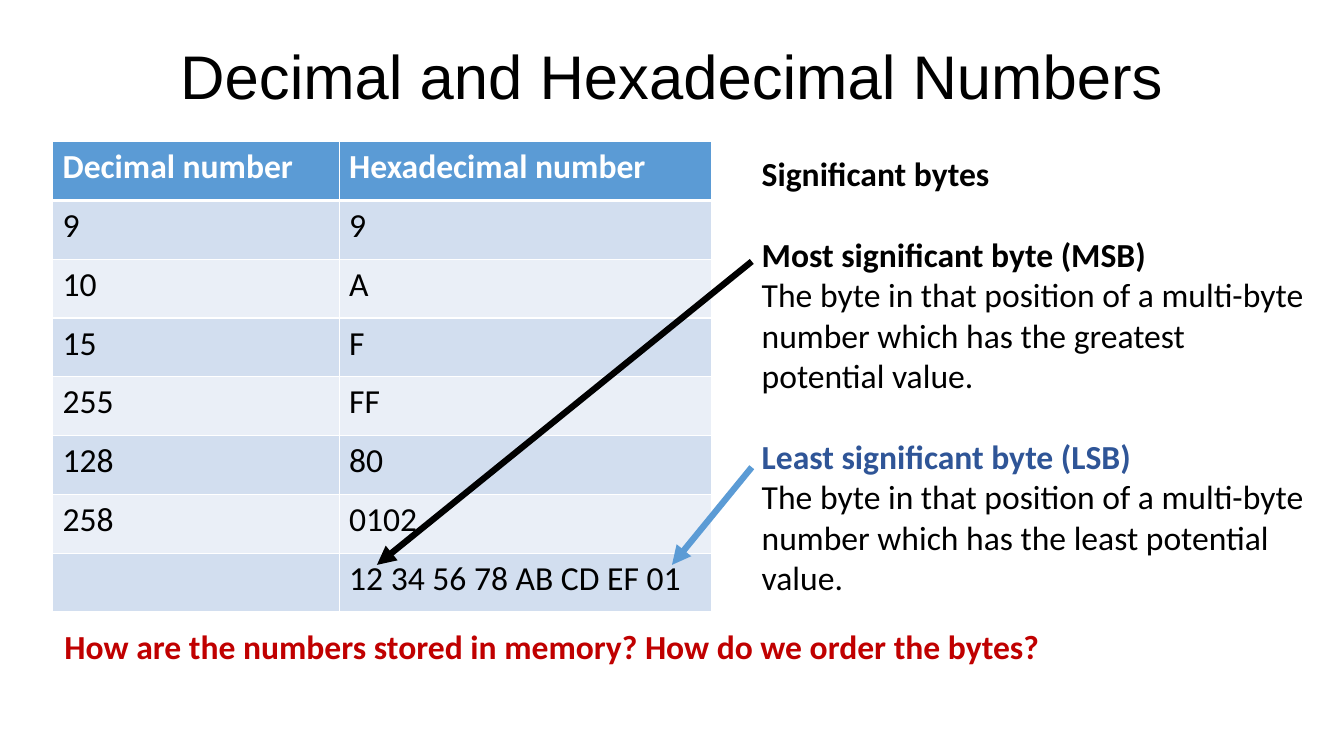
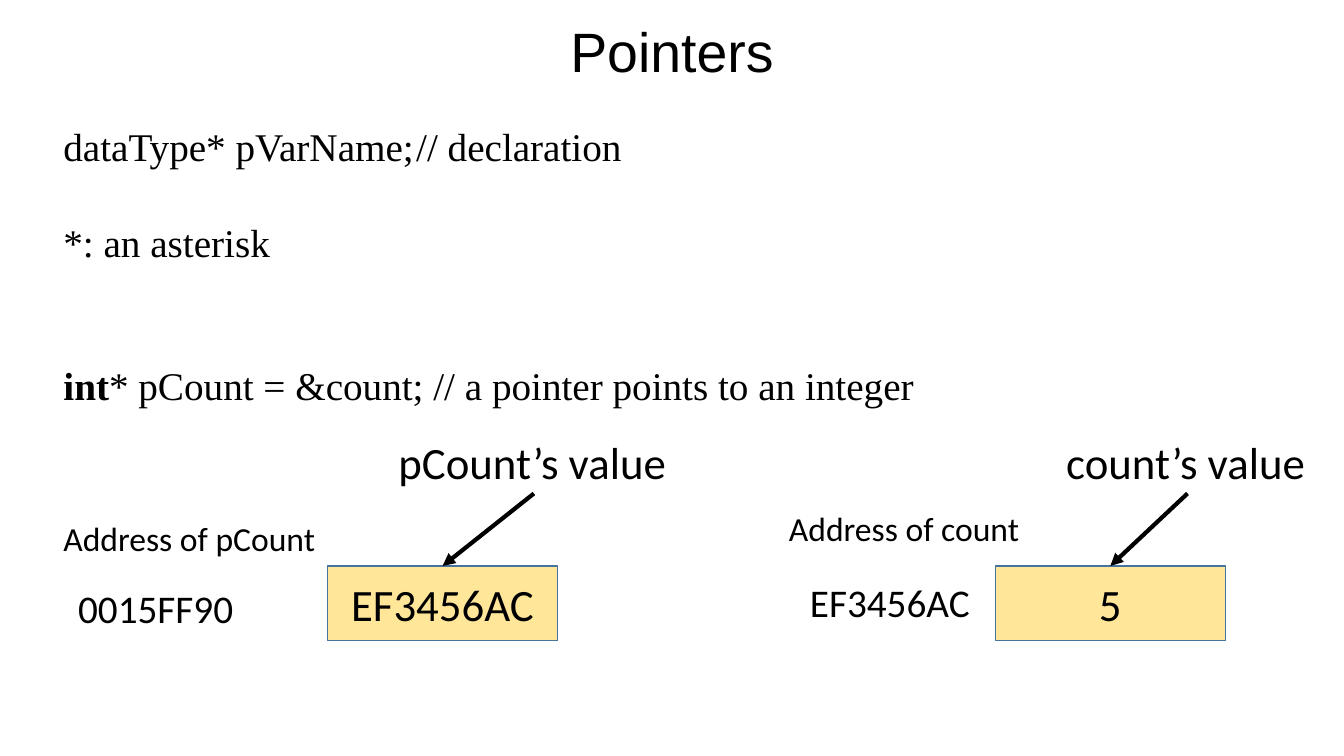
from lxml import etree
from pptx import Presentation
from pptx.dml.color import RGBColor
from pptx.enum.shapes import MSO_CONNECTOR, MSO_SHAPE
from pptx.enum.text import MSO_ANCHOR, MSO_AUTO_SIZE, PP_ALIGN
from pptx.oxml.ns import qn
from pptx.util import Pt

STRAIGHT, RECT = MSO_CONNECTOR.STRAIGHT, MSO_SHAPE.RECTANGLE
LEFT, CENTER = PP_ALIGN.LEFT, PP_ALIGN.CENTER
TOP, MIDDLE = MSO_ANCHOR.TOP, MSO_ANCHOR.MIDDLE
BOTTOM_SIDE, TOP_SIDE = 2, 0
PX = 9525
TITLE_ONLY = 5

BLACK, WHITE, RED = "000000", "FFFFFF", "C00000"
BLUE, DARK_BLUE, BAND, PALE = "5B9BD5", "2F5597", "D2DEEF", "EAEFF7"
BOX_FILL, BOX_LINE = "FFE699", "43739E"
TITLE_FONT, BODY_FONT, CODE_FONT = "Arial", "Calibri", "Times New Roman"

# Slide 1 content
NUMBERS = [
    ("Decimal number", "Hexadecimal number"),
    ("9", "9"),
    ("10", "A"),
    ("15", "F"),
    ("255", "FF"),
    ("128", "80"),
    ("258", "0102"),
    ("", "12 34 56 78 AB CD EF 01"),
]
COLUMN_WIDTHS, ROW_HEIGHT = (273, 355), 56
QUESTION = "How are the numbers stored in memory? How do we order the bytes?"
# Paragraphs: space before in points, then runs of (text, format)
BYTE_NOTES = [
    (0, [("Significant bytes", {"bold": True})]),
    (29, [("Most significant byte (MSB)", {"bold": True})]),
    (0, [("The byte in that position of a multi-byte number which has "
          "the greatest potential value.", {})]),
    (29, [("Least significant byte (LSB)", {"bold": True, "color": DARK_BLUE})]),
    (0, [("The byte in that position of a multi-byte number which has "
          "the least potential value.", {})]),
]
BYTE_ARROWS = [
    ((716, 445), (640, 538), BLUE),
    ((716, 249), (359, 538), BLACK),
]

# Slide 2 content
CODE = [
    (0, [("dataType* pVarName;\t// declaration", {})]),
    (35, [("*: an asterisk", {})]),
    (68, [("int", {"bold": True}),
          ("* pCount = &count; // a pointer points to an integer", {})]),
]
# Each variable: box left and value, then texts with their places
VARIABLES = [
    {"left": 312, "value": "EF3456AC",
     "caption": ("pCount’s value", (370, 409, 277, 61)),
     "label": ("Address of pCount", (51, 489, 261, 48)),
     "address": ("0015FF90", (65, 552, 169, 55))},
    {"left": 948, "value": "5",
     "caption": ("count’s value", (1006, 409, 250, 61)),
     "label": ("Address of count", (742, 479, 241, 48)),
     "address": ("EF3456AC", (762, 546, 174, 55))},
]
TEXT_SIZES = {"caption": 32, "label": 24, "address": 28}


def px(*values):
    return [round(v * PX) for v in values]


def rgb(value):
    return RGBColor.from_string(value)


def set_text(tf, content, size=24, font=BODY_FONT, color=BLACK, bold=False,
             align=LEFT, anchor=TOP, wrap=True, spacing=None):
    """Fill a text frame from a string or a list of paragraphs."""
    if isinstance(content, str):
        content = [(0, [(content, {})])]
    tf.word_wrap = wrap
    tf.auto_size = MSO_AUTO_SIZE.NONE
    tf.vertical_anchor = anchor
    for i, (before, runs) in enumerate(content):
        p = tf.paragraphs[0] if i == 0 else tf.add_paragraph()
        p.alignment = align
        p.space_before = Pt(before)
        if spacing:
            p.line_spacing = spacing
        for text, fmt in runs:
            r = p.add_run()
            r.text = text
            r.font.name = font
            r.font.size = Pt(size)
            r.font.bold = fmt.get("bold", bold)
            r.font.color.rgb = rgb(fmt.get("color", color))


def add_text(s, box, content, **fmt):
    sp = s.shapes.add_textbox(*px(*box))
    set_text(sp.text_frame, content, **fmt)
    return sp


def add_slide(prs, title, box, size):
    s = prs.slides.add_slide(prs.slide_layouts[TITLE_ONLY])
    sp = s.shapes.title
    sp.left, sp.top, sp.width, sp.height = px(*box)
    set_text(sp.text_frame, title, size=size, font=TITLE_FONT,
             align=CENTER, anchor=MIDDLE, spacing=0.9)
    return s


def add_arrow(s, start, end, color, width):
    line = s.shapes.add_connector(STRAIGHT, *px(*start, *end))
    line.line.color.rgb = rgb(color)
    line.line.width = Pt(width)
    etree.SubElement(line.line._get_or_add_ln(), qn("a:tailEnd"), type="triangle")
    etree.SubElement(line._element.spPr, qn("a:effectLst"))
    return line


def set_borders(cell, widths):
    tc_pr = cell._tc.get_or_add_tcPr()
    for side, width in widths.items():
        ln = etree.SubElement(tc_pr, qn("a:ln" + side), w=str(Pt(width)))
        fill = etree.SubElement(ln, qn("a:solidFill"))
        etree.SubElement(fill, qn("a:srgbClr"), val=WHITE)


def add_number_table(s, left, top):
    rows, cols = len(NUMBERS), len(COLUMN_WIDTHS)
    frame = s.shapes.add_table(
        rows, cols, *px(left, top, sum(COLUMN_WIDTHS), rows * ROW_HEIGHT))
    table = frame.table
    for column, width in zip(table.columns, COLUMN_WIDTHS):
        column.width = px(width)[0]
    for i, texts in enumerate(NUMBERS):
        table.rows[i].height = px(ROW_HEIGHT)[0]
        header = i == 0
        fill = BLUE if header else (BAND if i % 2 else PALE)
        for j, text in enumerate(texts):
            cell = table.cell(i, j)
            set_borders(cell, {"L": 1, "R": 1, "T": 3 if i == 1 else 1,
                               "B": 3 if header else 1})
            cell.fill.solid()
            cell.fill.fore_color.rgb = rgb(fill)
            p = cell.text_frame.paragraphs[0]
            p.font.size = Pt(24)
            if text:
                r = p.add_run()
                r.text = text
                r.font.name = BODY_FONT
                r.font.size = Pt(24)
                r.font.bold = header
                r.font.color.rgb = rgb(WHITE if header else BLACK)


def add_variable(s, var):
    parts = {name: add_text(s, var[name][1], var[name][0], size=size, wrap=False)
             for name, size in TEXT_SIZES.items()}
    box = s.shapes.add_shape(RECT, *px(var["left"], 539, 219, 71))
    box.shadow.inherit = False
    box.fill.solid()
    box.fill.fore_color.rgb = rgb(BOX_FILL)
    box.line.color.rgb = rgb(BOX_LINE)
    box.line.width = Pt(1)
    set_text(box.text_frame, var["value"], size=32, align=CENTER, anchor=MIDDLE)
    arrow = add_arrow(s, (0, 0), (0, 0), BLACK, 3)
    arrow.begin_connect(parts["caption"], BOTTOM_SIDE)
    arrow.end_connect(box, TOP_SIDE)


def main():
    prs = Presentation()
    prs.slide_width, prs.slide_height = px(1280, 720)

    # Number systems and byte significance
    s = add_slide(prs, "Decimal and Hexadecimal Numbers", (88, 6, 1104, 139), 44)
    add_number_table(s, 50, 135)
    add_text(s, (52, 591, 960, 48), QUESTION, color=RED, bold=True)
    add_text(s, (716, 141, 543, 436), BYTE_NOTES)
    for start, end, color in BYTE_ARROWS:
        add_arrow(s, start, end, color, 4.5)

    # Pointer declaration and memory boxes
    s = add_slide(prs, "Pointers", (0, 20, 1280, 64), 39.6)
    add_text(s, (51, 112, 1183, 281), CODE, size=28, font=CODE_FONT)
    for var in VARIABLES:
        add_variable(s, var)

    prs.save("out.pptx")


if __name__ == "__main__":
    main()
